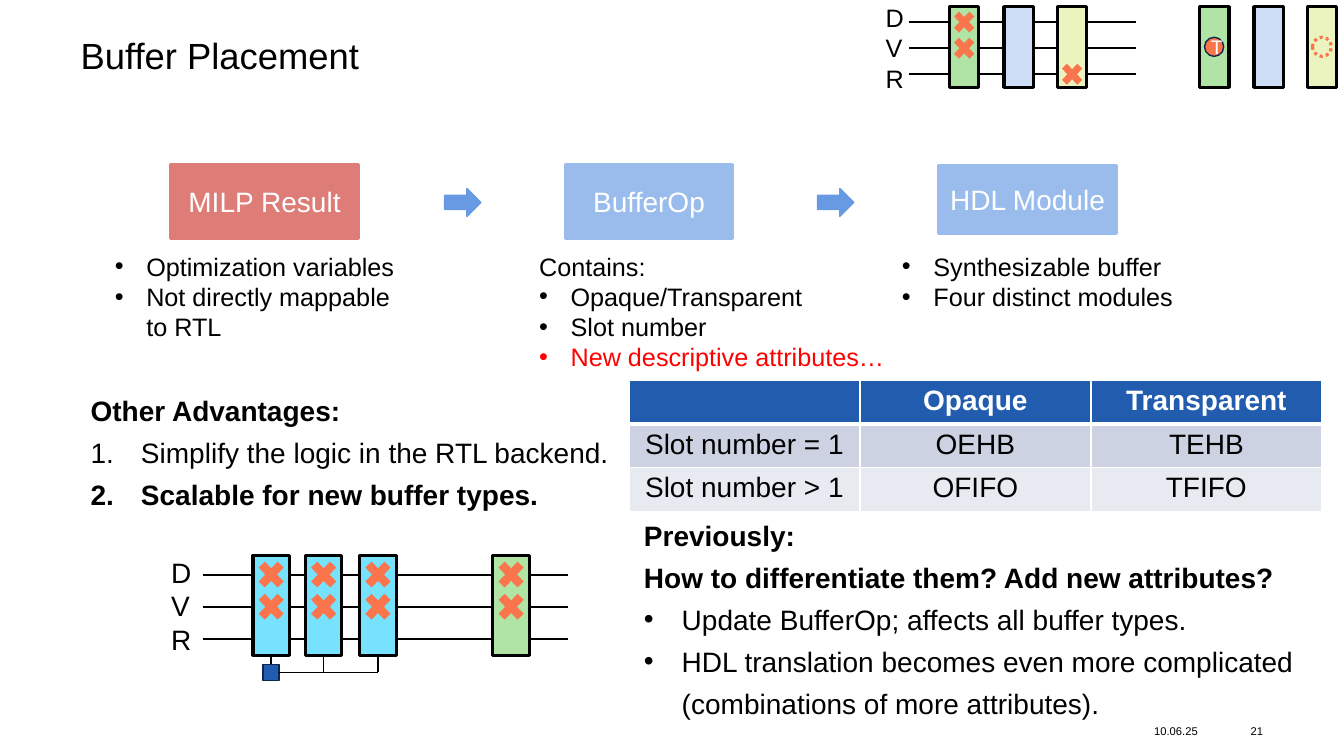
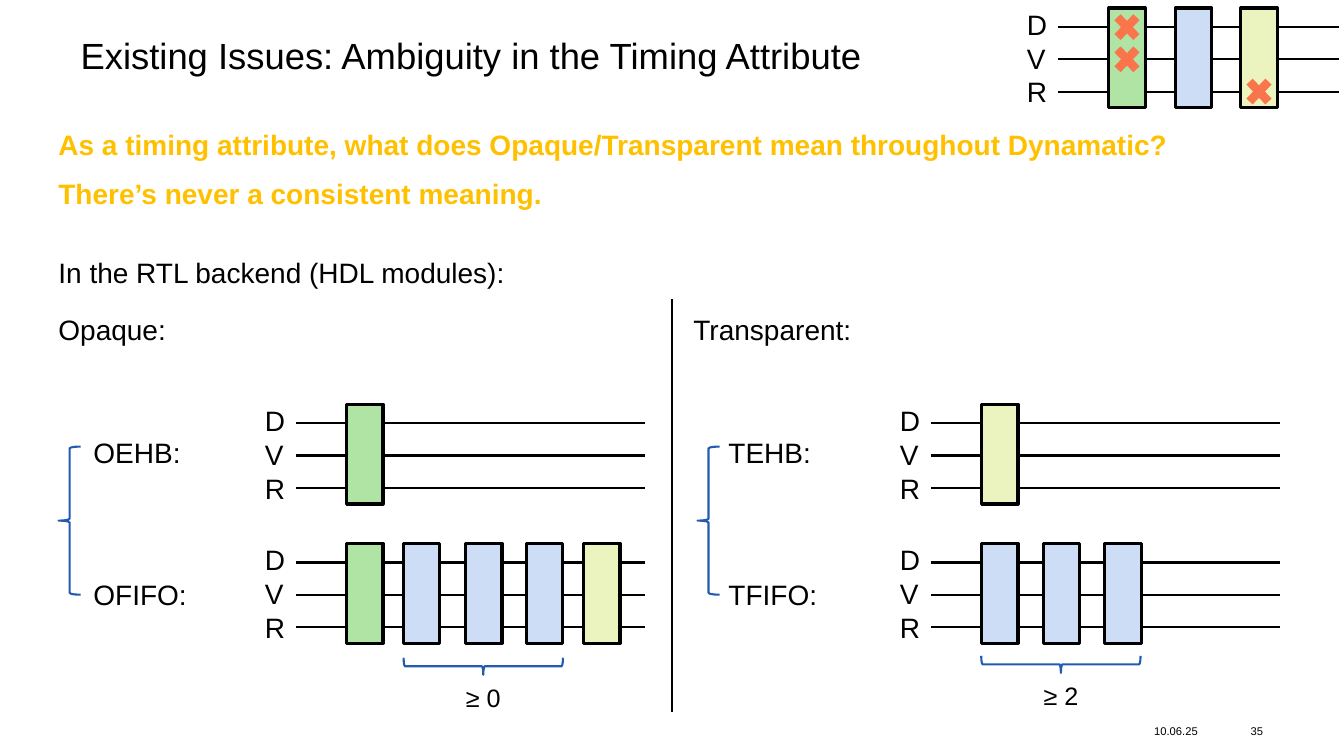
"""Build two slides on buffer placement and timing attributes."""
from dataclasses import dataclass, field

import lxml.etree
import pptx
import pptx.dml.color
import pptx.enum.dml
import pptx.enum.shapes
import pptx.enum.text
import pptx.oxml.ns
import pptx.util

COLORS = {
    "black": "000000", "white": "FFFFFF", "red": "FF0000", "gold": "FFC000",
    "green": "B0E4A4", "pale": "CCDDF5", "yellow": "EBF4BE", "cyan": "76E2FE",
    "orange": "FB754C", "blue": "215CAF", "navy": "0E284D", "rose": "DE7D77",
    "sky": "99BCEC", "arrow": "679AE2", "band": "CDD2E3", "light": "E8EAF2",
}
FONT = "Arial"
ZERO_INSETS = {f"margin_{side}": 0 for side in ("left", "top", "right", "bottom")}
SHAPE = pptx.enum.shapes.MSO_SHAPE
ALIGN = pptx.enum.text.PP_ALIGN
ANCHOR = pptx.enum.text.MSO_ANCHOR
Frame = tuple[float, float, float, float]


@dataclass(frozen=True)
class Line:
    text: str
    mark: str = ""
    indent: float = 0
    color: str = "black"
    bold: bool = False


@dataclass(frozen=True)
class Stage:
    left: float
    color: str
    crosses: tuple[int, ...] = ()


@dataclass(frozen=True)
class Bus:
    left: float
    right: float
    top: float
    stages: tuple[Stage, ...]
    scale: float = 1
    size: float = 20


@dataclass(frozen=True)
class Panel:
    left: float
    title: str
    brace_left: float
    rows: dict[str, tuple[Stage, ...]] = field(hash=False)
    span_center: float
    span_middle: float
    caption: str


def rgb(name: str):
    """Return a named colour."""
    return pptx.dml.color.RGBColor.from_string(COLORS[name])


def points(values):
    """Turn numbers into point lengths."""
    return [pptx.util.Pt(value) for value in values]


def apply(target, formats: dict) -> None:
    """Set every format value on the target."""
    for name, value in formats.items():
        setattr(target, name, value)


def add_child(parent, tag: str, **attributes):
    """Append a drawing element with attributes."""
    child = lxml.etree.SubElement(parent, pptx.oxml.ns.qn(tag))
    for name, value in attributes.items():
        child.set(name, value)
    return child


def add_mark(para, line: Line) -> None:
    """Indent a paragraph and give it a bullet or number."""
    properties = para._p.get_or_add_pPr()
    properties.set("marL", str(pptx.util.Pt(line.indent)))
    if line.mark:
        properties.set("indent", str(-pptx.util.Pt(line.indent)))
    if line.mark == "1.":
        add_child(properties, "a:buFont", typeface=FONT)
        add_child(properties, "a:buAutoNum", type="arabicPeriod")
    elif line.mark:
        add_child(properties, "a:buFont", typeface=FONT)
        add_child(properties, "a:buChar", char=line.mark)


def write(frame, lines, size: float, align=ALIGN.LEFT, spacing=None) -> None:
    """Fill a text frame with lines."""
    for index, line in enumerate(lines):
        para = frame.paragraphs[0] if index == 0 else frame.add_paragraph()
        if line.indent:
            add_mark(para, line)
        apply(para, {"alignment": align, "line_spacing": spacing})
        span = para.add_run()
        span.text = line.text
        apply(span.font, {"name": FONT, "size": pptx.util.Pt(size), "bold": line.bold})
        span.font.color.rgb = rgb(line.color)


def add_text(page, area: Frame, lines, size: float = 20, align=ALIGN.LEFT,
             spacing=None, **formats) -> None:
    """Add a text box."""
    box = page.shapes.add_textbox(*points(area))
    apply(box.text_frame, {"word_wrap": True, **formats})
    write(box.text_frame, lines, size, align, spacing)


def add_shape(page, kind, area: Frame, fill: str = "", line: str = "",
              width: float = 2.25):
    """Add a preset shape with optional fill and outline."""
    shape = page.shapes.add_shape(kind, *points(area))
    shape.shadow.inherit = False
    for paint, color in ((shape.fill, fill), (shape.line.fill, line)):
        if color:
            paint.solid()
            paint.fore_color.rgb = rgb(color)
        else:
            paint.background()
    if line:
        shape.line.width = pptx.util.Pt(width)
    return shape


def add_line(page, ends: Frame, width: float = 1.5):
    """Add a straight black connector."""
    line = page.shapes.add_connector(
        pptx.enum.shapes.MSO_CONNECTOR.STRAIGHT, *points(ends))
    line.line.color.rgb = rgb("black")
    line.line.width = pptx.util.Pt(width)
    add_child(line._element.spPr, "a:effectLst")
    return line


def draw_bus(page, bus: Bus) -> list:
    """Draw the D, V and R wires with their buffers, and return the buffers."""
    step, width, height, cross = (bus.scale * n for n in (23, 26, 71.3, 27.4))
    for index in range(3):
        y = bus.top + index * step
        add_line(page, (bus.left, y, bus.right, y))
    area = (bus.left - 29.5 * bus.scale, bus.top - 17.5, 44 * bus.scale, 80 * bus.scale)
    add_text(page, area, [Line(letter) for letter in "DVR"], bus.size)
    buffers = []
    for stage in bus.stages:
        buffers.append(add_shape(
            page, SHAPE.RECTANGLE,
            (stage.left, bus.top - cross / 2, width, height), stage.color, "black"))
        for index in stage.crosses:
            y = bus.top + index * step - cross / 2
            add_shape(page, SHAPE.MATH_MULTIPLY, (stage.left, y, width, cross), "orange")
    return buffers


def add_page(deck, title: str, number: str):
    """Add a blank page with its title and footer."""
    page = deck.slides.add_slide(deck.slide_layouts[6])
    add_text(page, (57.6, 27.4, 844.6, 27.4), [Line(title)], 26, spacing=0.9, **ZERO_INSETS)
    footer = {"vertical_anchor": ANCHOR.MIDDLE, **ZERO_INSETS}
    add_text(page, (824.4, 513.4, 48.2, 17.3), [Line("10.06.25")], 8, **footer)
    add_text(page, (877, 513.4, 25.2, 17.3), [Line(number)], 8, ALIGN.RIGHT, **footer)
    return page


def add_buffer_table(page) -> None:
    """Add the table of buffer modules."""
    rows = (("", "Opaque", "Transparent"),
            ("Slot number = 1", "OEHB", "TEHB"),
            ("Slot number > 1", "OFIFO", "TFIFO"))
    table = page.shapes.add_table(3, 3, *points((449.3, 271.4, 495, 93.6))).table
    for r, (texts, fill) in enumerate(zip(rows, ("blue", "band", "light"))):
        for c, text in enumerate(texts):
            cell = table.cell(r, c)
            properties = cell._tc.get_or_add_tcPr()
            for side in "LRTB":
                thick = (r, side) in ((0, "B"), (1, "T"))
                edge = add_child(properties, f"a:ln{side}",
                                 w=str(pptx.util.Pt(3 if thick else 1)))
                add_child(add_child(edge, "a:solidFill"), "a:srgbClr", val=COLORS["white"])
            cell.fill.solid()
            cell.fill.fore_color.rgb = rgb(fill)
            color = "black" if r else "white"
            write(cell.text_frame, [Line(text, color=color, bold=r == 0)], 20, ALIGN.CENTER)


def add_flow(page) -> None:
    """Draw the flow from solver result to hardware module."""
    steps = (("MILP Result", "rose", (121.7, 117.4, 134.6, 53.3)),
             ("BufferOp", "sky", (403.9, 117.4, 119.5, 53.3)),
             ("HDL Module", "sky", (670.3, 118, 127.4, 49)))
    for text, color, area in steps:
        box = add_shape(page, SHAPE.RECTANGLE, area, color, color)
        write(box.text_frame, [Line(text, color="white")], 20, ALIGN.CENTER)
    for left in (317.5, 583.9):
        add_shape(page, SHAPE.RIGHT_ARROW, (left, 134.6, 26, 20), "arrow", "arrow", 1)

    def bullet(text: str, color: str = "black") -> Line:
        """Return a bulleted line."""
        return Line(text, "•", 22.5, color)

    notes = (
        ((74.9, 175.7, 229, 73), [bullet("Optimization variables"),
                                  bullet("Not directly mappable to RTL")]),
        ((378, 175.7, 270, 94), [Line("Contains:"), bullet("Opaque/Transparent"),
                                 bullet("Slot number"),
                                 bullet("New descriptive attributes…", "red")]),
        ((637.2, 175.7, 213, 51), [bullet("Synthesizable buffer"),
                                   bullet("Four distinct modules")]),
    )
    for area, lines in notes:
        add_text(page, area, lines, 18)


def build_placement(deck) -> None:
    """Build the buffer placement page."""
    page = add_page(deck, "Buffer Placement", "21")
    draw_bus(page, Bus(649.4, 811.4, 15.8, (
        Stage(678.2, "green", (0, 1)), Stage(717.1, "pale"), Stage(755.3, "yellow", (2,)),
        Stage(856.8, "green"), Stage(895.7, "pale"), Stage(933.8, "yellow")), 0.81, 18))
    token = add_shape(page, SHAPE.OVAL, (860.4, 26.6, 13.7, 13.7), "orange", "navy", 1)
    write(token.text_frame, [Line("T", color="white")], 14, ALIGN.CENTER)
    slot = add_shape(page, SHAPE.OVAL, (937.4, 26.6, 13.7, 13.7), line="orange")
    slot.line.dash_style = pptx.enum.dml.MSO_LINE.ROUND_DOT

    add_flow(page)
    add_buffer_table(page)
    spacing = pptx.util.Pt(30)
    add_text(page, (57.6, 271.4, 395, 95), [
        Line("Other Advantages:", bold=True),
        Line("Simplify the logic in the RTL backend.", "1.", 36),
        Line("Scalable for new buffer types.", "1.", 36, bold=True)], spacing=spacing)
    add_text(page, (452.9, 360.7, 490, 155.5), [
        Line("Previously:", bold=True),
        Line("How to differentiate them? Add new attributes?", bold=True),
        Line("Update BufferOp; affects all buffer types.", "•", 27),
        Line("HDL translation becomes even more complicated", "•", 27),
        Line("(combinations of more attributes).", indent=27)], spacing=spacing)

    lefts = ((180.7, "cyan"), (218.2, "cyan"), (257, "cyan"), (352.1, "green"))
    buffers = draw_bus(page, Bus(144.7, 405.4, 410.4, tuple(
        Stage(left, color, (0, 1)) for left, color in lefts)))
    control = add_shape(page, SHAPE.RECTANGLE, (187.95, 474.5, 11.5, 11.5), "blue", "navy", 1)
    rail = 480.25
    add_line(page, (199.5, rail, 270, rail), 1).begin_connect(control, 3)
    for buffer, x in zip(buffers, (193.7, 231.2, 270)):
        drop = add_line(page, (x, 468, x, rail), 1)
        drop.begin_connect(buffer, 2)
        if buffer is buffers[0]:
            drop.end_connect(control, 0)


def draw_panel(page, panel: Panel) -> None:
    """Draw one timing kind with its two modules."""
    spacing = pptx.util.Pt(30)
    add_text(page, (panel.left, 213.8, 140, 34.6), [Line(panel.title)], spacing=spacing)
    for (name, stages), top, y in zip(panel.rows.items(), (302.4, 401.8), (301.7, 403.2)):
        add_text(page, (panel.left + 25, y, 95, 34.6), [Line(name)], spacing=spacing)
        draw_bus(page, Bus(panel.left + 177, panel.left + 426, top, tuple(
            Stage(panel.left + stage.left, stage.color) for stage in stages)))
    add_shape(page, SHAPE.LEFT_BRACE, (panel.brace_left, 319, 15.8, 105.8),
              line="blue", width=1.5)
    width, length = 12.2, 113.8
    span = add_shape(page, SHAPE.LEFT_BRACE,
                     (panel.span_center - width / 2, panel.span_middle - length / 2,
                      width, length), line="blue", width=1.5)
    span.rotation = 270
    add_text(page, (panel.span_center - 30, panel.span_middle + 8, 60, 29),
             [Line(panel.caption)], 18, ALIGN.CENTER)


def build_ambiguity(deck) -> None:
    """Build the timing attribute page."""
    page = add_page(deck, "Existing Issues: Ambiguity in the Timing Attribute", "35")
    claims = ("As a timing attribute, what does Opaque/Transparent mean throughout Dynamatic?",
              "There’s never a consistent meaning.")
    for text, top in zip(claims, (87.8, 122.4)):
        add_text(page, (34.6, top, 840, 31.7), [Line(text, color="gold", bold=True)])
    add_text(page, (34.6, 172.8, 345, 34.6), [Line("In the RTL backend (HDL modules):")],
             spacing=pptx.util.Pt(30))
    add_line(page, (480, 213.8, 480, 508.3))
    green, yellow = Stage(213, "green"), Stage(213, "yellow")
    slots = tuple(Stage(left, "pale") for left in (253.4, 298, 341.3))
    wide_slots = tuple(Stage(213 + 44 * index, "pale") for index in range(3))
    panels = (
        Panel(34.6, "Opaque:", 41.8,
              {"OEHB:": (green,), "OFIFO:": (green, *slots, Stage(382.3, "yellow"))},
              345.2, 475.9, "≥ 0"),
        Panel(488.2, "Transparent:", 498.2, {"TEHB:": (yellow,), "TFIFO:": wide_slots},
              757.8, 474.5, "≥ 2"),
    )
    for panel in panels:
        draw_panel(page, panel)
    draw_bus(page, Bus(756, 956.2, 19.4, (
        Stage(792, "green", (0, 1)), Stage(839.5, "pale"), Stage(886.3, "yellow", (2,)))))


def main() -> None:
    """Build and save the deck."""
    deck = pptx.Presentation()
    apply(deck, {"slide_width": pptx.util.Pt(960), "slide_height": pptx.util.Pt(540)})
    build_placement(deck)
    build_ambiguity(deck)
    deck.save("out.pptx")


if __name__ == "__main__":
    main()
